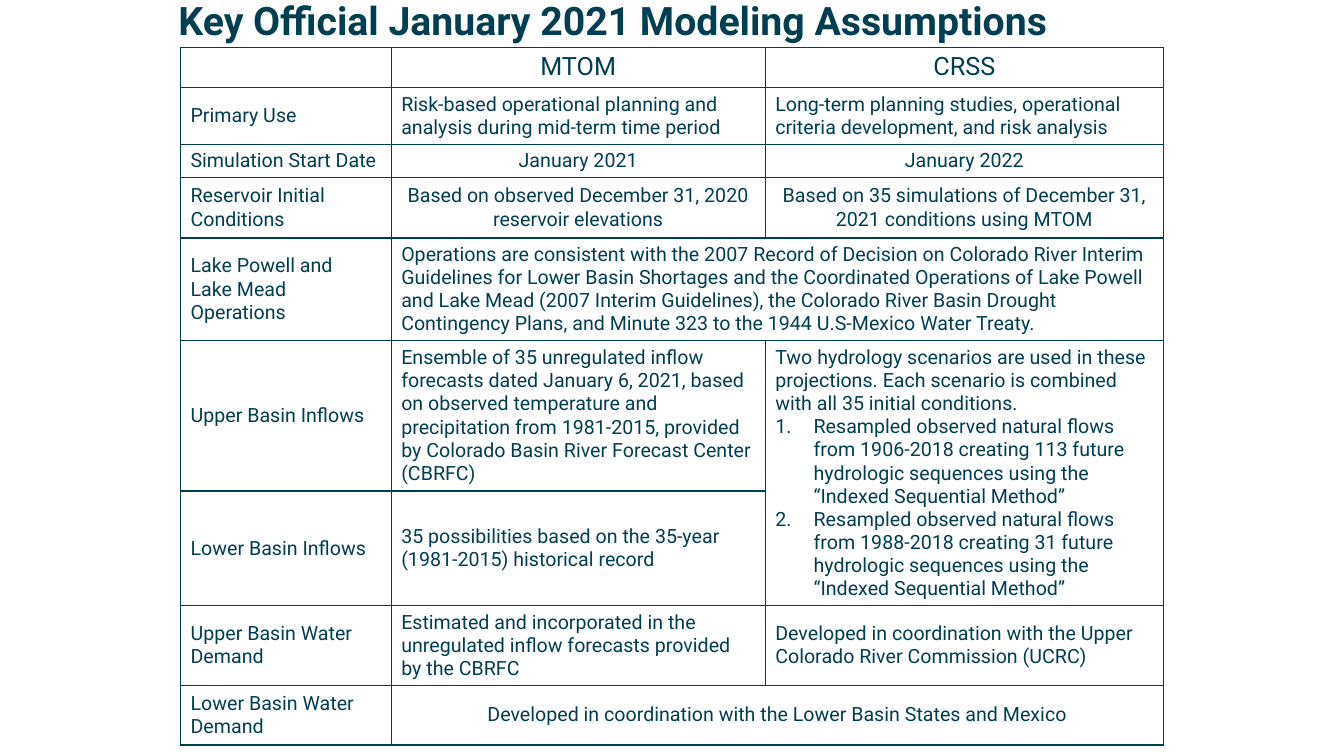
"""Build the modeling assumptions slide."""
from lxml import etree
from pptx import Presentation
from pptx.dml.color import RGBColor
from pptx.enum.text import MSO_ANCHOR, PP_ALIGN
from pptx.oxml.ns import qn
from pptx.util import Inches, Pt

LEFT, CENTER = PP_ALIGN.LEFT, PP_ALIGN.CENTER
TOP, MIDDLE = MSO_ANCHOR.TOP, MSO_ANCHOR.MIDDLE
TITLE_ONLY = 5
FONT = "Roboto"
COLORS = {"ink": "003E51", "cell": "FFFFFF"}

COL_WIDTHS = [2.09, 3.71, 3.95]
ROW_HEIGHTS = [0.4, 0.56, 0.33, 0.6, 1.02, 1.49, 1.14, 0.79, 0.59]
ROWS = [
    ["", "MTOM", "CRSS"],
    ["Primary Use",
     "Risk-based operational planning and analysis during mid-term time period",
     "Long-term planning studies, operational criteria development, and risk analysis"],
    ["Simulation Start Date", "January 2021", "January 2022"],
    ["Reservoir Initial Conditions",
     "Based on observed December 31, 2020 reservoir elevations",
     "Based on 35 simulations of December 31, 2021 conditions using MTOM"],
    ["Lake Powell and\nLake Mead Operations",
     "Operations are consistent with the 2007 Record of Decision on Colorado River "
     "Interim Guidelines for Lower Basin Shortages and the Coordinated Operations of "
     "Lake Powell and Lake Mead (2007 Interim Guidelines), the Colorado River Basin "
     "Drought Contingency Plans, and Minute 323 to the 1944 U.S-Mexico Water Treaty.",
     ""],
    ["Upper Basin Inflows",
     "Ensemble of 35 unregulated inflow forecasts dated January 6, 2021, based on "
     "observed temperature and precipitation from 1981-2015, provided by Colorado "
     "Basin River Forecast Center (CBRFC)",
     "Two hydrology scenarios are used in these projections. Each scenario is "
     "combined with all 35 initial conditions."],
    ["Lower Basin Inflows",
     "35 possibilities based on the 35-year (1981-2015) historical record", ""],
    ["Upper Basin Water Demand",
     "Estimated and incorporated in the unregulated inflow forecasts provided by the CBRFC",
     "Developed in coordination with the Upper Colorado River Commission (UCRC)"],
    ["Lower Basin Water Demand",
     "Developed in coordination with the Lower Basin States and Mexico", ""],
]
SCENARIOS = [
    "Resampled observed natural flows from 1906-2018 creating 113 future hydrologic "
    "sequences using the “Indexed Sequential Method”",
    "Resampled observed natural flows from 1988-2018 creating 31 future hydrologic "
    "sequences using the “Indexed Sequential Method”",
]
CENTERED_ROWS = {0, 2, 3, 8}
MERGES = [((4, 1), (4, 2)), ((5, 2), (6, 2)), ((8, 1), (8, 2))]


def write(p, text, size, align=LEFT, bold=False):
    """Fill a paragraph with text in the slide's font and colour."""
    p.text = text
    p.alignment = align
    p.font.name = FONT
    p.font.size = Pt(size)
    p.font.bold = bold
    p.font.color.rgb = RGBColor.from_string(COLORS["ink"])


def add_title(s, text):
    """Place the title placeholder above the table."""
    title = s.shapes.title
    title.left, title.top = Inches(1.67), Inches(-0.04)
    title.width, title.height = Inches(9.87), Inches(0.54)
    title.text_frame.vertical_anchor = MIDDLE
    p = title.text_frame.paragraphs[0]
    write(p, text, 28, bold=True)
    p.line_spacing = 0.9


def style_cell(cell):
    """Give a cell a half-transparent fill and thin borders."""
    cell.fill.solid()
    cell.fill.fore_color.rgb = RGBColor.from_string(COLORS["cell"])
    tc_pr = cell._tc.get_or_add_tcPr()
    color = tc_pr.find(qn("a:solidFill")).find(qn("a:srgbClr"))
    etree.SubElement(color, qn("a:alpha"), val="50000")
    for i, side in enumerate(("lnL", "lnR", "lnT", "lnB")):
        line = etree.Element(qn(f"a:{side}"), w=str(Pt(1)))
        fill = etree.SubElement(line, qn("a:solidFill"))
        etree.SubElement(fill, qn("a:srgbClr"), val=COLORS["ink"])
        tc_pr.insert(i, line)


def add_numbered(tf, items):
    """Append automatically numbered paragraphs with a hanging indent."""
    for item in items:
        p = tf.add_paragraph()
        write(p, item, 14)
        p_pr = p._p.get_or_add_pPr()
        p_pr.set("marL", str(Inches(0.38)))
        p_pr.set("indent", str(Inches(-0.38)))
        number = etree.Element(qn("a:buAutoNum"), type="arabicPeriod")
        p_pr.insert_element_before(number, "a:tabLst", "a:defRPr", "a:extLst")


def add_assumptions(s):
    """Add the table that compares the two models."""
    frame = s.shapes.add_table(len(ROWS), len(COL_WIDTHS), Inches(1.79), Inches(0.47),
                               Inches(sum(COL_WIDTHS)), Inches(sum(ROW_HEIGHTS)))
    table = frame.table
    for column, width in zip(table.columns, COL_WIDTHS):
        column.width = Inches(width)
    for row, height in zip(table.rows, ROW_HEIGHTS):
        row.height = Inches(height)
    table.first_row = table.horz_banding = False
    for r, texts in enumerate(ROWS):
        for c, text in enumerate(texts):
            cell = table.cell(r, c)
            style_cell(cell)
            cell.vertical_anchor = MIDDLE if r else TOP
            align = CENTER if c and r in CENTERED_ROWS else LEFT
            write(cell.text_frame.paragraphs[0], text, 14 if r else 18, align)
    for start, end in MERGES:
        table.cell(*start).merge(table.cell(*end))
    add_numbered(table.cell(5, 2).text_frame, SCENARIOS)


def main():
    """Create the slide and save it."""
    prs = Presentation()
    prs.slide_width, prs.slide_height = Inches(13.33), Inches(7.5)
    s = prs.slides.add_slide(prs.slide_layouts[TITLE_ONLY])
    add_title(s, "Key Official January 2021 Modeling Assumptions")
    add_assumptions(s)
    prs.save("out.pptx")


if __name__ == "__main__":
    main()
